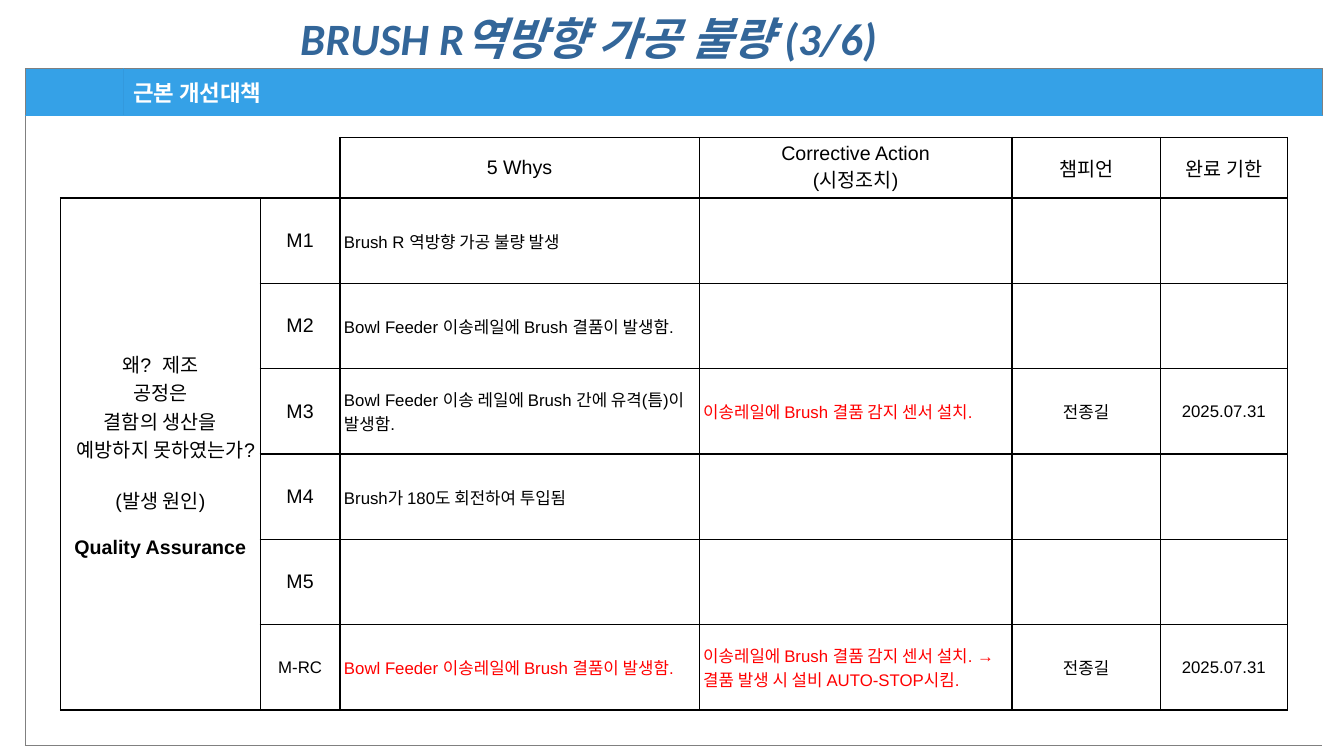
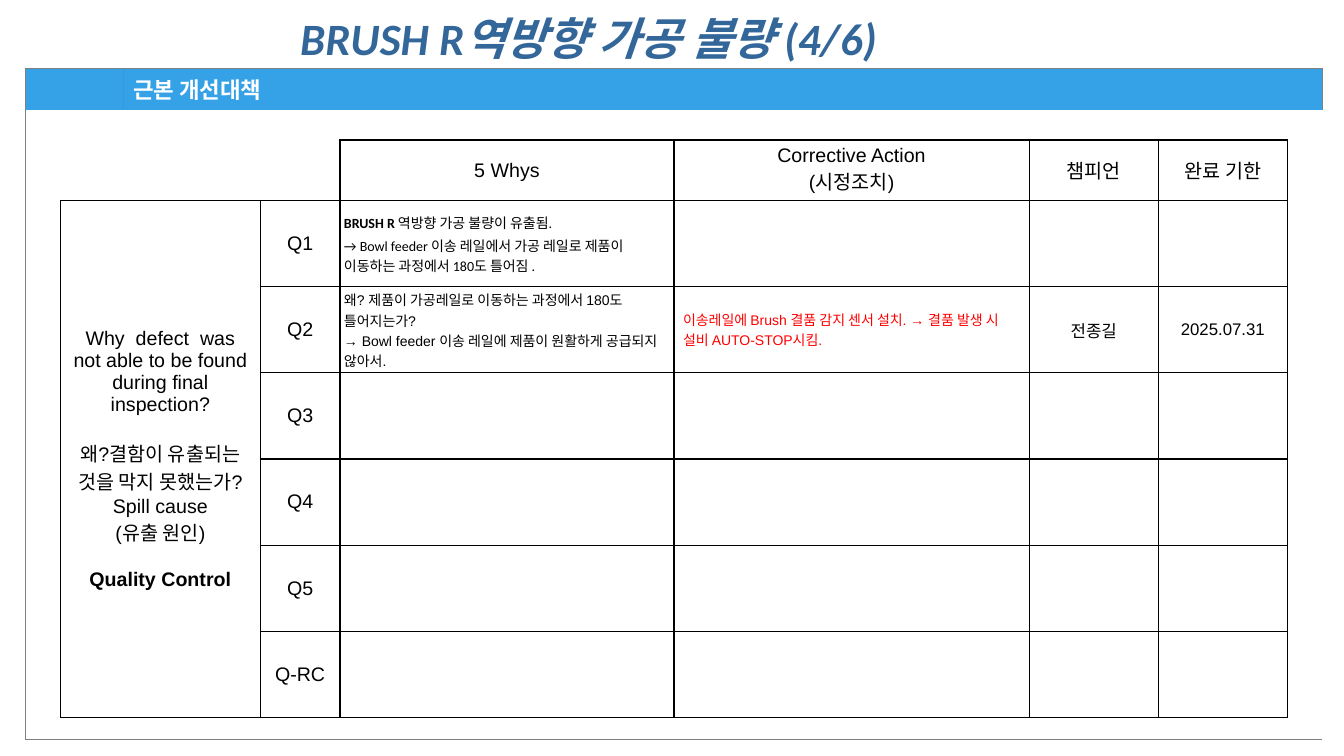
import pptx
import pptx.util
import pptx.dml.color
import pptx.enum.text
import pptx.oxml
import pptx.oxml.ns
from lxml import etree

COLORS = {"title": "336699", "band": "35A1E7", "divider": "3399DD", "frame": "808080",
          "white": "FFFFFF", "ink": "000000", "alert": "FF0000"}
FONTS = {"title": "Calibri", "band": "Noto Sans CJK KR", "body": "Arial"}
CENTER = pptx.enum.text.PP_ALIGN.CENTER
LEFT = pptx.enum.text.PP_ALIGN.LEFT
MIDDLE = pptx.enum.text.MSO_ANCHOR.MIDDLE
SIDES = ("lnL", "lnR", "lnT", "lnB")
WIDTH, HEIGHT = pptx.util.Inches(13.33), pptx.util.Inches(7.5)
GAP = 16  # points between blocks of the question cell


def across(percent):
    return int(WIDTH * percent / 100)


def down(percent):
    return int(HEIGHT * percent / 100)


def para(text, size=14, color="ink", bold=False, font="body", before=0, lead=""):
    return {"text": text, "size": size, "color": color, "bold": bold,
            "font": font, "before": before, "lead": lead}


def action(*texts, size=12):
    return [para(t, size, "alert") for t in texts]


# Text
def style(font, item):
    font.size = pptx.util.Pt(item["size"])
    font.name = FONTS[item["font"]]
    font.bold = item["bold"]
    font.color.rgb = pptx.dml.color.RGBColor.from_string(COLORS[item["color"]])


def write(tf, items, align=LEFT):
    for i, item in enumerate(items):
        p = tf.add_paragraph() if i else tf.paragraphs[0]
        p.alignment = align
        if i and item["before"]:
            p.space_before = pptx.util.Pt(item["before"])
        style(p.font, item)
        if item["lead"]:
            r = p.add_run()
            r.text = item["lead"]
            r.font.bold = True
        p.add_run().text = item["text"]


def add_title(s, text):
    sp = s.shapes.add_textbox(across(21.6), down(2.13), across(64.13), down(7.2))
    tf = sp.text_frame
    tf.word_wrap = True
    write(tf, [para(text, 32, "title", True, "title")])
    tf.paragraphs[0].font.italic = True
    tf.paragraphs[0].line_spacing = 0.8


# Tables
def set_borders(cell, lines):
    """lines maps a side to (colour, points); other sides have no line."""
    tc_pr = cell._tc.get_or_add_tcPr()
    for side in SIDES:
        ln = etree.SubElement(tc_pr, pptx.oxml.ns.qn("a:" + side))
        if side in lines:
            color, points = lines[side]
            ln.set("w", str(pptx.util.Pt(points)))
            fill = etree.SubElement(ln, pptx.oxml.ns.qn("a:solidFill"))
            etree.SubElement(fill, pptx.oxml.ns.qn("a:srgbClr")).set("val", COLORS[color])
        else:
            etree.SubElement(ln, pptx.oxml.ns.qn("a:noFill"))


def fill_cell(cell, color):
    if color:
        cell.fill.solid()
        cell.fill.fore_color.rgb = pptx.dml.color.RGBColor.from_string(COLORS[color])
    else:
        cell.fill.background()


def put(cell, items, align=LEFT, side=0.04):
    cell.vertical_anchor = MIDDLE
    cell.margin_left = cell.margin_right = pptx.util.Inches(side)
    cell.margin_top = cell.margin_bottom = pptx.util.Inches(0.03)
    write(cell.text_frame, items, align)


def add_grid(s, left, top, width, weights, heights):
    table = s.shapes.add_table(len(heights), len(weights), across(left), down(top),
                               across(width), down(sum(heights))).table
    table.first_row = table.horz_banding = False
    for col, weight in zip(table.columns, weights):
        col.width = across(width * weight / sum(weights))
    for row, height in zip(table.rows, heights):
        row.height = down(height)
    return table


def add_frame(s, band):
    table = add_grid(s, 1.88, 9.07, 96.5, [97, 1189], [band, 83.33])
    edge, seam, rim = ("frame", 0.5), ("divider", 0.5), ("band", 0.5)
    set_borders(table.cell(0, 0), {"lnL": edge, "lnT": edge, "lnR": seam, "lnB": rim})
    set_borders(table.cell(0, 1), {"lnL": seam, "lnT": edge, "lnR": edge, "lnB": rim})
    set_borders(table.cell(1, 0), {"lnL": edge, "lnT": rim, "lnB": edge})
    set_borders(table.cell(1, 1), {"lnR": edge, "lnT": rim, "lnB": edge})
    for r, color in enumerate(("band", "white")):
        for c in range(2):
            fill_cell(table.cell(r, c), color)
    table.cell(1, 0).merge(table.cell(1, 1))
    put(table.cell(0, 0), [para("", 12)])
    put(table.cell(0, 1), [para("근본 개선대책", 16, "white", True, "band")], side=0.1)


def add_whys(s, page):
    labels = page["labels"]
    table = add_grid(s, 4.5, page["top"], 91.3, page["weights"],
                     [8] + [page["row"]] * len(labels))
    line = ("ink", 1)
    for r in range(len(labels) + 1):
        for c in range(len(page["weights"])):
            corner = r == 0 and c < 2
            sides = (("lnB", "lnR") if c else ("lnB",)) if corner else SIDES
            set_borders(table.cell(r, c), {side: line for side in sides})
            fill_cell(table.cell(r, c), None)
    table.cell(0, 0).merge(table.cell(0, 1))
    table.cell(1, 0).merge(table.cell(len(labels), 0))

    heads = (["5 Whys"], ["Corrective Action", "(시정조치)"], ["챔피언"], ["완료 기한"])
    for c, texts in enumerate(heads, 2):
        put(table.cell(0, c), [para(t) for t in texts], CENTER, 0.11)
    put(table.cell(1, 0), page["question"], CENTER, 0.11)
    for r, label in enumerate(labels, 1):
        size = 12 if label == "M-RC" else 14
        put(table.cell(r, 1), [para(label, size)], CENTER, 0.06)
    for r, items in page["whys"].items():
        put(table.cell(r, 2), items)
    for r, items in page["actions"].items():
        put(table.cell(r, 3), items, side=page["action_margin"])
        for c, text in enumerate(("전종길", "2025.07.31"), 4):
            put(table.cell(r, c), [para(text, 12)], CENTER)


# Content of the two slides
SENSOR = "이송레일에 Brush 결품 감지 센서 설치."
SENSOR_STOP = SENSOR + " → 결품 발생 시 설비 AUTO-STOP시킴."
SHORTAGE = "Bowl Feeder 이송레일에 Brush 결품이 발생함."

PAGES = [
    {"number": 3, "band": 6.2, "top": 18.2, "row": 11.29,
     "weights": [198, 79, 356, 310, 147, 126],
     "labels": ["M1", "M2", "M3", "M4", "M5", "M-RC"],
     "question": [para("왜?  제조"), para("공정은"),
                  para("결함의 생산을 예방하지 못하였는가?"),
                  para("(발생 원인)", before=GAP),
                  para("Quality Assurance", bold=True, before=GAP)],
     "whys": {1: [para("Brush R 역방향 가공 불량 발생", 12)],
              2: [para(SHORTAGE, 12)],
              3: [para("Bowl Feeder 이송 레일에 Brush 간에 유격(틈)이 발생함.", 12)],
              4: [para("Brush가 180도 회전하여 투입됨", 12)],
              6: action(SHORTAGE)},
     "actions": {3: action(SENSOR), 6: action(SENSOR_STOP)},
     "action_margin": 0.04},
    {"number": 4, "band": 5.4, "top": 18.53, "row": 11.4,
     "weights": [198, 79, 331, 352, 128, 128],
     "labels": ["Q1", "Q2", "Q3", "Q4", "Q5", "Q-RC"],
     "question": [para("Why  defect  was not able to be found during final inspection?"),
                  para("왜?결함이 유출되는 것을 막지 못했는가?", before=GAP),
                  para("Spill cause"), para("(유출 원인)"),
                  para("Quality Control", bold=True, before=GAP)],
     "whys": {1: [para("역방향 가공 불량이 유출됨.", 10, font="title", lead="BRUSH R "),
                  para("→ Bowl feeder 이송 레일에서 가공 레일로 제품이 이동하는 과정에서 "
                       "180도 틀어짐 .", 10, font="title", before=2)],
              2: [para("왜? 제품이 가공레일로 이동하는 과정에서 180도 틀어지는가?", 10),
                  para("→ Bowl feeder 이송 레일에 제품이 원활하게 공급되지 않아서.", 10)]},
     "actions": {2: action(SENSOR_STOP, size=10)},
     "action_margin": 0.09},
]


def main():
    prs = pptx.Presentation()
    prs.slide_width, prs.slide_height = WIDTH, HEIGHT
    for page in PAGES:
        s = prs.slides.add_slide(prs.slide_layouts[6])
        add_frame(s, page["band"])
        add_whys(s, page)
        add_title(s, f"BRUSH R역방향 가공 불량 ({page['number']}/6)")
    prs.save("out.pptx")


if __name__ == "__main__":
    main()
